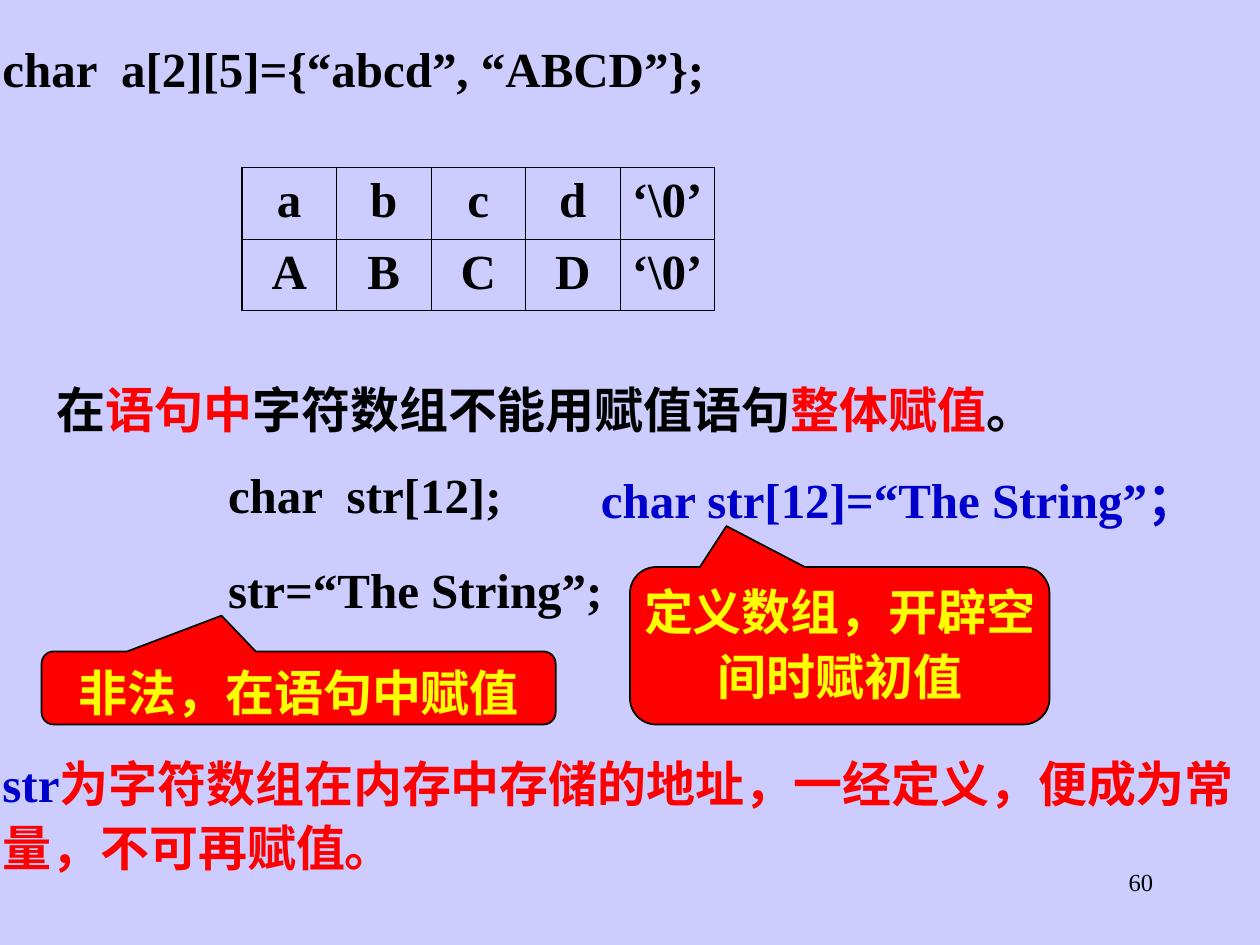
from lxml import etree
from pptx import Presentation, util as u
from pptx.dml.color import RGBColor
from pptx.enum import shapes, text
from pptx.oxml import ns

BACKGROUND = RGBColor(0xCC, 0xCC, 0xFF)
BLACK = RGBColor(0, 0, 0)
RED = RGBColor(0xFF, 0, 0)
BLUE = RGBColor(0, 0, 0xCC)
YELLOW = RGBColor(0xFF, 0xFF, 0)

FONT = "Times New Roman"
BODY_SIZE = 28
OUTER_LINE, INNER_LINE = 1.08, 0.45
CELL = 0.75, 0.53


def format_run(run, color, size=BODY_SIZE, bold=True):
    run.font.name = FONT
    run.font.size = u.Pt(size)
    run.font.bold = bold
    run.font.color.rgb = color


def set_insets(frame, horizontal=0.02, vertical=0.01):
    frame.margin_left = frame.margin_right = u.Inches(horizontal)
    frame.margin_top = frame.margin_bottom = u.Inches(vertical)


def fill_paragraphs(frame, paragraphs, alignment=text.PP_ALIGN.LEFT):
    """Write paragraphs, each a list of (wording, colour) parts."""
    frame.word_wrap = True
    frame.vertical_anchor = text.MSO_ANCHOR.TOP
    set_insets(frame)
    for index, parts in enumerate(paragraphs):
        paragraph = frame.add_paragraph() if index else frame.paragraphs[0]
        paragraph.alignment = alignment
        paragraph.line_spacing = 1.1
        if index:
            paragraph.space_before = u.Pt(17.5)
        for wording, color in parts:
            run = paragraph.add_run()
            run.text = wording
            format_run(run, color)


def add_text(slide, box, *paragraphs):
    shape = slide.shapes.add_textbox(*map(u.Inches, box))
    fill_paragraphs(shape.text_frame, paragraphs)


def add_callout(slide, box, pointer, wording):
    shape = slide.shapes.add_shape(
        shapes.MSO_SHAPE.ROUNDED_RECTANGULAR_CALLOUT, *map(u.Inches, box))
    shape.shadow.inherit = False
    shape.adjustments[0], shape.adjustments[1] = pointer
    shape.fill.solid()
    shape.fill.fore_color.rgb = RED
    shape.line.color.rgb = BLACK
    shape.line.width = u.Pt(1)
    fill_paragraphs(shape.text_frame, [[(wording, YELLOW)]], text.PP_ALIGN.CENTER)


def set_border(cell, side, points):
    properties = cell._tc.get_or_add_tcPr()
    line = etree.SubElement(properties, ns.qn(f"a:ln{side}"), w=str(u.Pt(points)))
    fill = etree.SubElement(line, ns.qn("a:solidFill"))
    etree.SubElement(fill, ns.qn("a:srgbClr"), val=str(BLACK))


def add_character_table(slide, left, top, rows):
    row_count, column_count = len(rows), len(rows[0])
    width, height = CELL
    frame = slide.shapes.add_table(
        row_count, column_count, u.Inches(left), u.Inches(top),
        u.Inches(width * column_count), u.Inches(height * row_count))
    table = frame.table
    table.first_row = table.horz_banding = False
    for r, row in enumerate(rows):
        for c, character in enumerate(row):
            cell = table.cell(r, c)
            set_insets(cell, vertical=0.05)
            cell.text = character
            paragraph = cell.text_frame.paragraphs[0]
            paragraph.alignment = text.PP_ALIGN.CENTER
            format_run(paragraph.runs[0], BLACK)
            # Heavier lines run around the outside of the table
            on_edge = {"L": c == 0, "R": c == column_count - 1,
                       "T": r == 0, "B": r == row_count - 1}
            for side, outer in on_edge.items():
                set_border(cell, side, OUTER_LINE if outer else INNER_LINE)
            cell.fill.background()


def add_slide_number(slide, number):
    shape = slide.shapes.add_textbox(*map(u.Inches, (7.17, 6.83, 2.08, 0.5)))
    shape.text_frame.word_wrap = True
    shape.text_frame.text = number
    paragraph = shape.text_frame.paragraphs[0]
    paragraph.alignment = text.PP_ALIGN.RIGHT
    format_run(paragraph.runs[0], BLACK, size=14, bold=False)


def main():
    presentation = Presentation()
    presentation.slide_width, presentation.slide_height = u.Inches(10), u.Inches(7.5)
    slide = presentation.slides.add_slide(presentation.slide_layouts[6])
    slide.background.fill.solid()
    slide.background.fill.fore_color.rgb = BACKGROUND
    add_slide_number(slide, "60")

    # Two-dimensional array and its contents
    add_text(slide, (0, 0.25, 8, 0.54),
             [("char  a[2][5]={“abcd”, “ABCD”};", BLACK)])
    add_character_table(slide, 1.92, 1.33, [[*"abcd", "‘\\0’"], [*"ABCD", "‘\\0’"]])

    # Assignment rule with wrong and right code
    add_text(slide, (0.43, 2.96, 8.06, 0.54),
             [("在", BLACK), ("语句中", RED), ("字符数组不能用赋值语句", BLACK),
              ("整体赋值", RED), ("。", BLACK)])
    add_text(slide, (1.79, 3.63, 4.54, 1.29),
             [("char  str[12];", BLACK)], [("str=“The String”;", BLACK)])
    add_text(slide, (4.75, 3.67, 5, 0.54),
             [("char str[12]=“The String”；", BLUE)])

    # Comments on the code
    add_callout(slide, (0.33, 5.17, 4.08, 0.58), (-0.15, -0.99), "非法，在语句中赋值")
    add_callout(slide, (5, 4.5, 3.33, 1.25), (-0.27, -0.76),
                "定义数组，开辟空间时赋初值")

    # Conclusion
    add_text(slide, (0, 5.92, 10, 1.05),
             [("str", BLUE),
              ("为字符数组在内存中存储的地址，一经定义，便成为常量，不可再赋值。", RED)])

    presentation.save("out.pptx")


if __name__ == "__main__":
    main()
